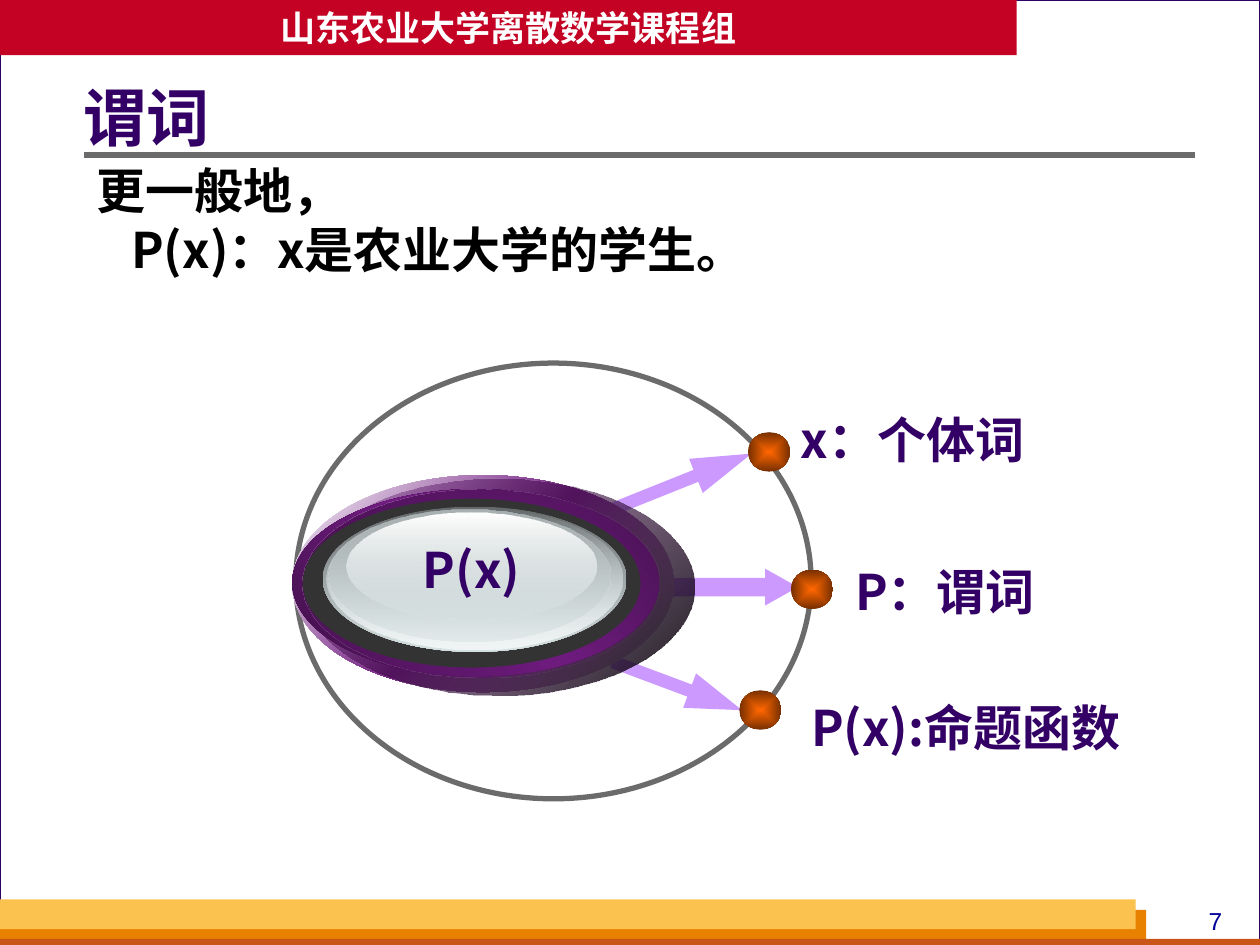
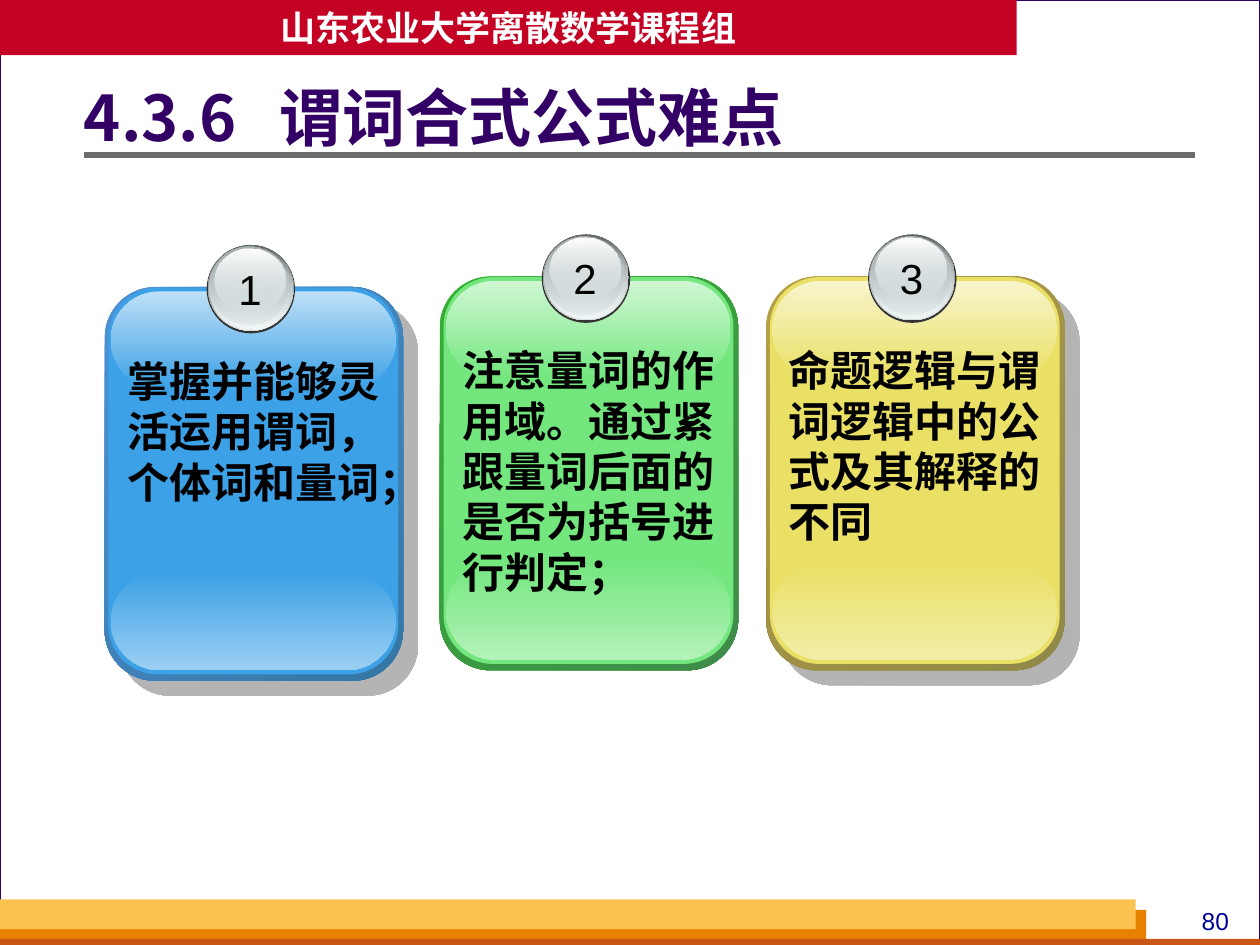
from dataclasses import dataclass
from lxml.etree import SubElement as Sub
from pptx import Presentation
from pptx.dml.color import RGBColor as RGB
from pptx.enum.shapes import MSO_CONNECTOR as Link, MSO_SHAPE as Kind
from pptx.enum.text import MSO_ANCHOR as Anchor, MSO_AUTO_SIZE as Auto, PP_ALIGN as Align
from pptx.oxml.ns import qn
from pptx.util import Pt


@dataclass(frozen=True)
class Theme:
    cjk: str = "Noto Sans CJK SC"
    card: str = "DejaVu Sans"
    num: str = "Arial"
    head: int = 36
    body: int = 28
    note: int = 24
    band: int = 20
    page: int = 14
    ink: str = "330066"
    black: str = "000000"
    white: str = "FFFFFF"
    gray: str = "6B6B6B"
    dark: str = "333333"
    red: str = "C30224"
    navy: str = "000099"
    gold: str = "FCC24F"
    amber: str = "E88000"
    rust: str = "C95616"
    lilac: str = "CC99FF"
    plum: str = "711C81"
    node: tuple = (None, (0, "FF6600"), (100, "762F00"))
    glass: tuple = (
        (90, (0, "636869"), (100, "D6E1E2")),
        (90, (0, "D6E1E2", 0), (100, "F1F5F5")),
        (90, (0, "AAB2B3"), (100, "D6E1E2", 48)),
        (90, (0, "FFFFFF"), (100, "D6E1E2", 38)),
    )


T = Theme()


def blend(shape, angle, *stops):
    shape.fill.background()
    grad = shape.element.spPr.find(qn("a:noFill"))
    new = grad.makeelement(qn("a:gradFill"), {"rotWithShape": "1"})
    grad.getparent().replace(grad, new)
    group = Sub(new, qn("a:gsLst"))
    for at, color, *alpha in stops:
        stop = Sub(group, qn("a:gs"), pos=str(at * 1000))
        tone = Sub(stop, qn("a:srgbClr"), val=color)
        if alpha:
            Sub(tone, qn("a:alpha"), val=str(alpha[0] * 1000))
    if angle is None:
        way = Sub(new, qn("a:path"), path="rect")
        Sub(way, qn("a:fillToRect"), {side: "50000" for side in "ltrb"})
    else:
        Sub(new, qn("a:lin"), ang=str(angle * 60000), scaled="0")


def draw(slide, kind, box, fill=None, line=None, width=3, round=None):
    shape = slide.shapes.add_shape(kind, *map(Pt, box))
    shape.shadow.inherit = False
    if fill is None:
        shape.fill.background()
    elif isinstance(fill, str):
        shape.fill.solid()
        shape.fill.fore_color.rgb = RGB.from_string(fill)
    else:
        blend(shape, *fill)
    if line:
        shape.line.color.rgb = RGB.from_string(line)
        shape.line.width = Pt(width)
    else:
        shape.line.fill.background()
    if round is not None:
        shape.adjustments[0] = round
    return shape


def style(part, size, color, face=T.cjk, bold=True, align=Align.LEFT):
    part.alignment = align
    for run in part.runs:
        font = run.font
        font.size, font.bold, font.name = Pt(size), bold, face
        font.color.rgb = RGB.from_string(color)
        Sub(run.font._element, qn("a:ea"), typeface=face)


def write(slide, box, text, size, color, **look):
    frame = slide.shapes.add_textbox(*map(Pt, box)).text_frame
    frame.word_wrap = True
    frame.text = text
    for part in frame.paragraphs:
        style(part, size, color, **look)
    return frame


def base(deck, title, page, tab=None):
    slide = deck.slides.add_slide(deck.slide_layouts[5])
    for box, fill, line in (
        ((0, 0, 720, 540), T.white, T.ink),
        ((0, 520, 655, 20), T.amber, None),
        ((0, 536.5, 720, 5.5), T.rust, None),
        ((0, 514, 649, 17), T.gold, None),
    ):
        draw(slide, Kind.RECTANGLE, box, fill, line, 0.75)
    write(slide, (672, 514, 45, 24), page, T.page, T.navy,
          face=T.num, bold=False, align=Align.CENTER)
    rule = slide.shapes.add_connector(Link.STRAIGHT, Pt(48), Pt(88.5), Pt(683), Pt(88.5))
    rule.line.color.rgb = RGB.from_string(T.gray)
    rule.line.width = Pt(3)
    Sub(rule.element.spPr, qn("a:effectLst"))
    band = draw(slide, Kind.RECTANGLE, (0, 0, 581, 31.5), T.red).text_frame
    band.text = "山东农业大学离散数学课程组"
    band.word_wrap = False
    band.vertical_anchor = Anchor.MIDDLE
    style(band.paragraphs[0], T.band, T.white, align=Align.CENTER)
    head(slide, (48, 33, 635, 73), title, tab)
    return slide


def head(slide, box, title, tab):
    shape = slide.shapes.title
    shape.element.getparent().append(shape.element)
    shape.left, shape.top, shape.width, shape.height = map(Pt, box)
    frame = shape.text_frame
    frame.text = title
    frame.auto_size = Auto.NONE
    frame.vertical_anchor = Anchor.MIDDLE
    frame.margin_left = 0
    part = frame.paragraphs[0]
    part.line_spacing = 0.9
    if tab:
        stops = Sub(part._p.get_or_add_pPr(), qn("a:tabLst"))
        Sub(stops, qn("a:tab"), pos=str(Pt(tab)), algn="l")
    style(part, T.head, T.ink)


def glass(slide, left, top, boxes):
    for (x, y, w, h), fill in zip(boxes, T.glass):
        draw(slide, Kind.OVAL, (left + x, top + y, w, h), fill)


def orb(slide, left, top):
    for (x, y, w, h), fill in (
        ((0, 0, 218, 124), (45, (0, T.white), (50, T.plum), (100, T.white))),
        ((6, 2, 224, 124), (45, (0, T.plum, 32), (100, T.black, 90))),
        ((0, 8, 209.5, 107), (315, (0, "3D0F46"), (50, T.plum), (100, "3D0F46"))),
        ((6, 8.5, 204, 107), (45, (0, "481252"), (100, T.plum, 0))),
        ((6, 13.5, 193, 96.5), T.dark),
    ):
        draw(slide, Kind.OVAL, (left + x, top + y, w, h), fill)
    glass(slide, left, top, ((17.5, 18, 173.5, 83), (19.5, 18.5, 169, 81),
                             (21, 19.5, 161, 75.5), (31, 21.5, 143, 61)))
    write(slide, (left + 34.5, top + 33.5, 136, 41), "P(x)", T.body, T.ink, align=Align.CENTER)


def map_out(slide, left, top):
    for (x, y, w), turn, neck, tip in (
        ((178.5, 57, 85), 338.2, 0.35, 1.63),
        ((178.5, 174, 79), 20.5, 0.35, 1.52),
        ((211.5, 117.5, 75.5), 0, 0.5, 0.89),
    ):
        arrow = draw(slide, Kind.RIGHT_ARROW, (left + x, top + y, w, 21), T.lilac, round=neck)
        arrow.adjustments[1] = tip
        arrow.rotation = turn
    draw(slide, Kind.OVAL, (left, top, 294.5, 249), None, T.gray)
    for x, y in ((258.5, 39.5), (253.5, 187), (283, 118)):
        draw(slide, Kind.OVAL, (left + x, top + y, 24, 22.5), T.node)
    orb(slide, left - 2, top + 64)
    for x, y, w, text in ((281.5, 23, 153, "x：个体词"), (312.5, 110, 140, "P：谓词"),
                          (287.5, 187.5, 210, "P(x):命题函数")):
        write(slide, (left + x, top + y, w, 41), text, T.body, T.ink)


def intro(slide, box):
    frame = write(slide, box, "更一般地，\nP(x)：x是农业大学的学生。", T.body, T.black)
    for part in frame.paragraphs:
        part.line_spacing = 0.8
    part.space_before = Pt(7)
    part._p.get_or_add_pPr().set("marL", str(Pt(20)))


def badge(slide, left, top, text):
    draw(slide, Kind.OVAL, (left, top, 50.5, 50.5), T.dark)
    glass(slide, left, top, ((0.7, 0, 49, 49), (1.4, 0.7, 47.5, 47.5),
                             (1.4, 1.2, 45.5, 44.5), (4.3, 2, 40.5, 36)))
    write(slide, (left, top + 7, 49.5, 36), text, T.note, T.black,
          face=T.num, bold=False, align=Align.CENTER)


def card(slide, left, top, num, text, tones, shade):
    rim, edge, face, glow, shine = tones
    back = draw(slide, Kind.ROUNDED_RECTANGLE, (left, top, 170.5, 225),
                (45, (0, rim), (100, edge)), round=0.17)
    if shade:
        cast = Sub(back.element.spPr.find(qn("a:effectLst")), qn("a:outerShdw"),
                   dist=str(Pt(12.1)), dir=str(45 * 60000), algn="ctr", rotWithShape="0")
        Sub(Sub(cast, qn("a:srgbClr"), val=T.gray), qn("a:alpha"), val="50000")
    for x, y, w, h, fill, round in (
        (2.2, 0.4, 165.6, 221, face, 0.17),
        (3.6, 163, 162.7, 56, (90, (0, face), (100, glow)), 0.5),
        (3.6, 2.5, 162.7, 55.5, (90, (0, shine), (100, face)), 0.5),
    ):
        draw(slide, Kind.ROUNDED_RECTANGLE, (left + x, top + y, w, h), fill, round=round)
    badge(slide, left + 58.3, top - 24, num)
    write(slide, (left + 5.8, top + 35.5, 162, 122), text, T.note, T.black, face=T.card)


def main():
    deck = Presentation()
    deck.slide_width, deck.slide_height = Pt(720), Pt(540)
    slide = base(deck, "谓词", "7")
    intro(slide, (48, 94.5, 635, 73.5))
    map_out(slide, 169, 207.5)

    slide = base(deck, "4.3.6\t谓词合式公式难点", "80", 111.5)
    for num, (left, top, text, tones, shade) in enumerate((
        (59.8, 164, "掌握并能够灵活运用谓词，个体词和量词；",
         ("4E91D4", "3477A4", "3CA1E6", "9BCFF2", "BEE0F7"), True),
        (251.3, 158, "注意量词的作用域。通过紧跟量词后面的是否为括号进行判定；",
         ("34B034", "3F8B4A", "73E77E", "B3F2B9", "D0F7D4"), False),
        (437.8, 158, "命题逻辑与谓词逻辑中的公式及其解释的不同",
         ("B59F43", "8F8849", "E9E065", "F2EDA6", "F8F5CC"), True),
    ), 1):
        card(slide, left, top, str(num), text, tones, shade)
    deck.save("out.pptx")


if __name__ == "__main__":
    main()
